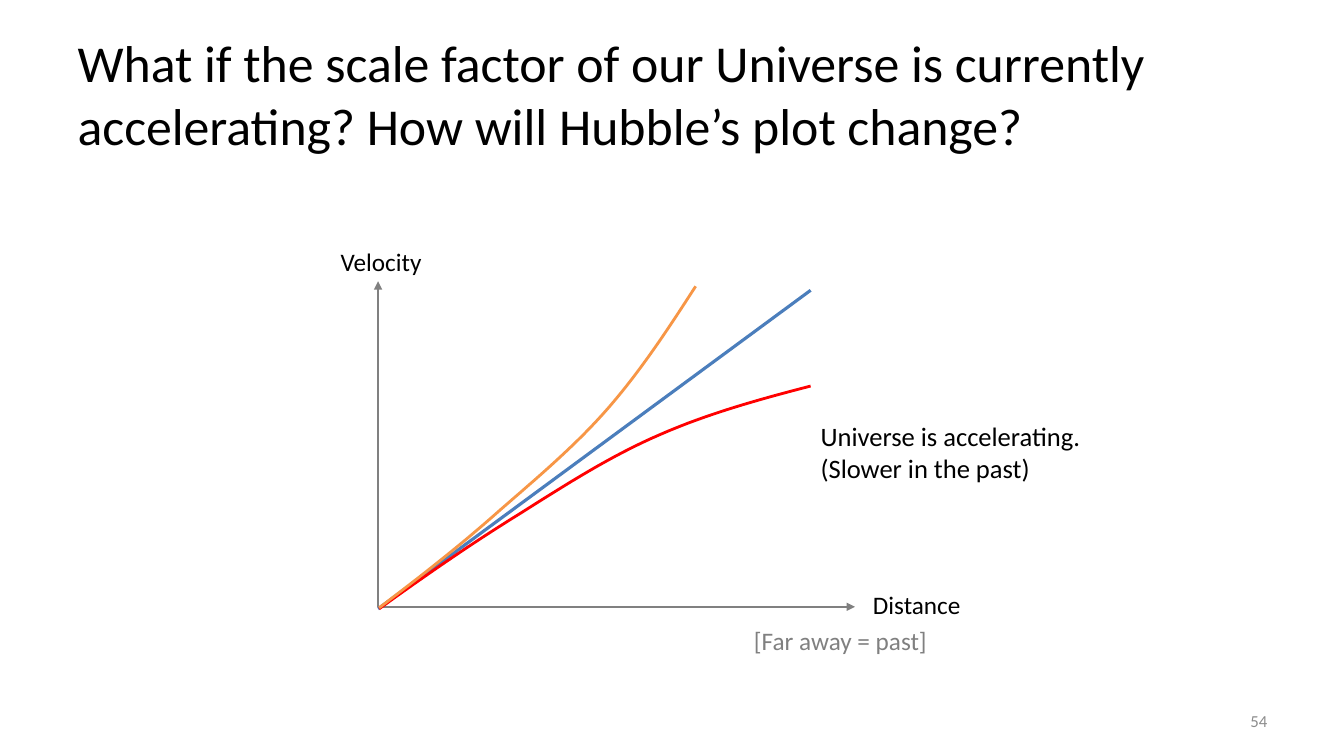
import dataclasses

import lxml.etree
import pptx
import pptx.dml.color
import pptx.enum.shapes
import pptx.enum.text
import pptx.oxml.ns
import pptx.util

PX = 9144
STEPS = 16
FONT = "Calibri"
BLACK, GREY = "000000", "808080"
LEFT = pptx.enum.text.PP_ALIGN.LEFT
RIGHT = pptx.enum.text.PP_ALIGN.RIGHT
TOP = pptx.enum.text.MSO_ANCHOR.TOP
MIDDLE = pptx.enum.text.MSO_ANCHOR.MIDDLE

Point = tuple[int, int]


@dataclasses.dataclass(frozen=True)
class Label:
    lines: tuple[str, ...]
    left: int
    top: int
    width: int
    height: int
    size: int = 18
    color: str = BLACK
    align: pptx.enum.text.PP_ALIGN = LEFT
    anchor: pptx.enum.text.MSO_ANCHOR = TOP


@dataclasses.dataclass(frozen=True)
class Line:
    start: Point
    end: Point
    color: str
    width: float
    arrow: bool = False


@dataclasses.dataclass(frozen=True)
class Curve:
    points: tuple[Point, ...]
    color: str
    width: float = 2


TITLE = Label(
    ("What if the scale factor of our Universe is currently accelerating? "
     "How will Hubble’s plot change?",),
    67, 30, 1200, 125, 37, anchor=MIDDLE,
)
LABELS = (
    Label(("54",), 956, 695, 311, 40, 12, "8C8C8C", RIGHT, MIDDLE),
    Label(("Distance",), 856, 580, 197, 40),
    Label(("Velocity",), 328, 239, 197, 40),
    Label(("Universe is accelerating.", "(Slower in the past)"), 804, 412, 382, 74, 19),
    Label(("[Far away = past]",), 738, 615, 197, 40, color=GREY),
)
LINES = (
    Line((375, 602), (375, 279), GREY, 1.5, arrow=True),
    Line((375, 602), (848, 602), GREY, 1.5, arrow=True),
    Line((375, 604), (804, 288), "4B7EBC", 2.25),
)
CURVES = (
    Curve(((376, 604), (422, 571), (468, 539), (515, 510), (561, 481),
           (606, 452), (655, 431), (703, 410), (754, 396), (804, 383)), "FF0000"),
    Curve(((376, 603), (417, 572), (458, 540), (496, 506), (534, 473),
           (572, 441), (604, 404), (636, 367), (663, 326), (690, 284)), "F79646"),
)


def rgb(color: str) -> pptx.dml.color.RGBColor:
    return pptx.dml.color.RGBColor.from_string(color)


def write_label(sp, label: Label) -> None:
    tf = sp.text_frame
    tf.word_wrap = True
    tf.auto_size = pptx.enum.text.MSO_AUTO_SIZE.NONE
    tf.vertical_anchor = label.anchor
    for i, line in enumerate(label.lines):
        p = tf.add_paragraph() if i else tf.paragraphs[0]
        p.alignment = label.align
        r = p.add_run()
        r.text = line
        r.font.name = FONT
        r.font.size = pptx.util.Pt(label.size)
        r.font.color.rgb = rgb(label.color)


def box(label: Label) -> list[int]:
    return [n * PX for n in (label.left, label.top, label.width, label.height)]


def style_line(sp, color: str, width: float) -> None:
    sp.line.color.rgb = rgb(color)
    sp.line.width = pptx.util.Pt(width)


def draw_line(s, line: Line) -> None:
    sp = s.shapes.add_connector(
        pptx.enum.shapes.MSO_CONNECTOR.STRAIGHT,
        *[n * PX for n in line.start + line.end],
    )
    style_line(sp, line.color, line.width)
    if line.arrow:
        ln = sp.line._get_or_add_ln()
        lxml.etree.SubElement(ln, pptx.oxml.ns.qn("a:tailEnd"), type="triangle")
    lxml.etree.SubElement(sp._element.spPr, pptx.oxml.ns.qn("a:effectLst"))


def bezier(a: int, b: int, c: int, d: int, t: float) -> float:
    u = 1 - t
    return u**3 * a + 3 * u * u * t * b + 3 * u * t * t * c + t**3 * d


def draw_curve(s, curve: Curve) -> None:
    xs, ys = zip(*curve.points)
    samples = [
        tuple(round(PX * bezier(*axis[k:k + 4], step / STEPS)) for axis in (xs, ys))
        for k in range(0, len(xs) - 1, 3)
        for step in range(1, STEPS + 1)
    ]
    builder = s.shapes.build_freeform(xs[0] * PX, ys[0] * PX)
    builder.add_line_segments(samples, close=False)
    sp = builder.convert_to_shape()
    sp.shadow.inherit = False
    sp.fill.background()
    style_line(sp, curve.color, curve.width)


def main() -> None:
    prs = pptx.Presentation()
    prs.slide_width, prs.slide_height = 1333 * PX, 750 * PX
    s = prs.slides.add_slide(prs.slide_layouts.get_by_name("Title Only"))
    title = s.shapes.title
    title.left, title.top, title.width, title.height = box(TITLE)
    write_label(title, TITLE)
    for line in LINES:
        draw_line(s, line)
    for curve in CURVES:
        draw_curve(s, curve)
    for label in LABELS:
        write_label(s.shapes.add_textbox(*box(label)), label)
    prs.save("out.pptx")


if __name__ == "__main__":
    main()
